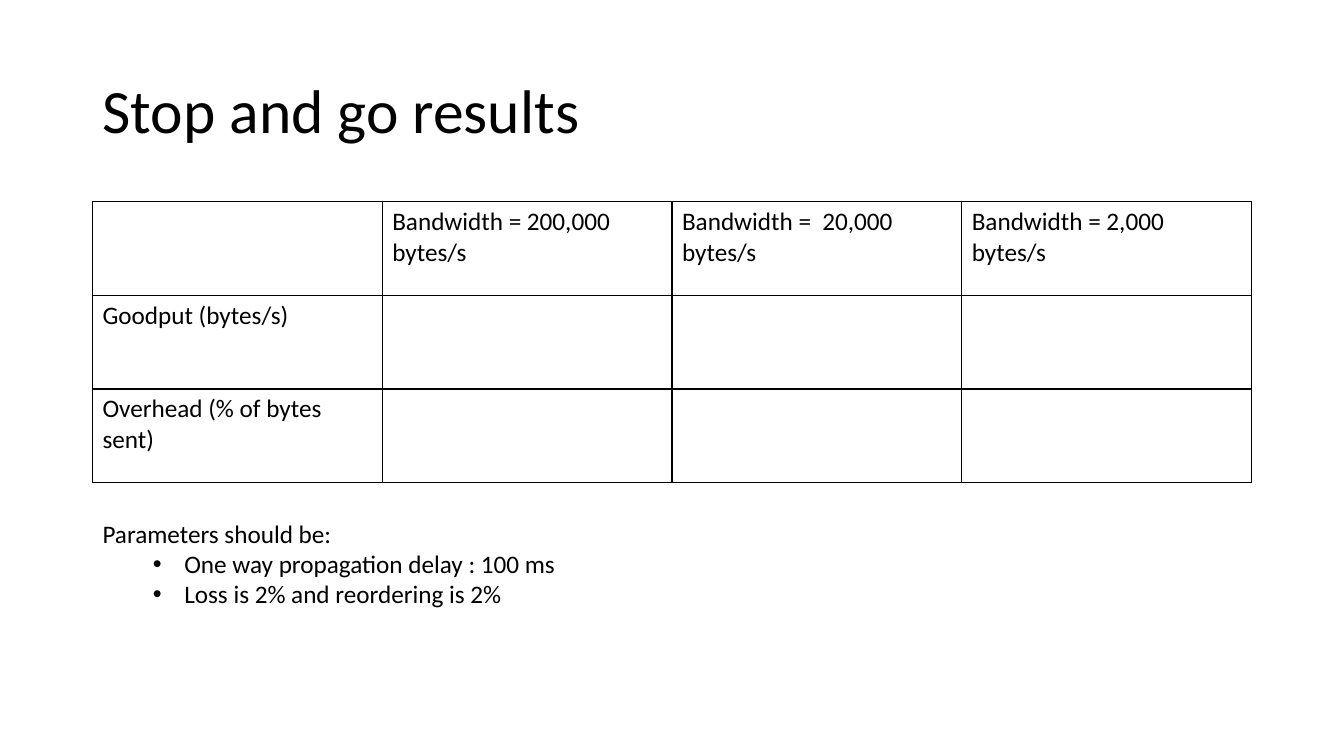
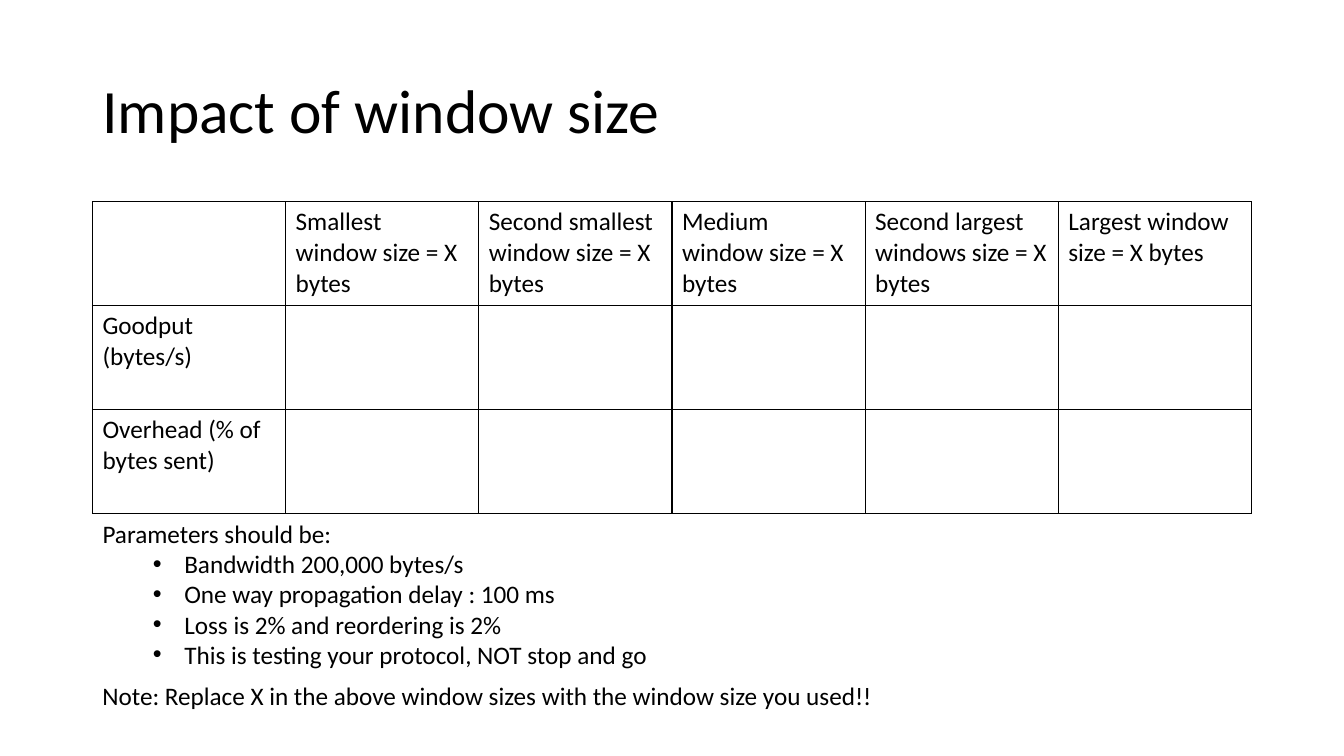
from lxml.etree import SubElement
from pptx import Presentation
from pptx.dml.color import RGBColor
from pptx.enum.text import MSO_ANCHOR as Anchor, MSO_AUTO_SIZE as AutoSize, PP_ALIGN as Align
from pptx.oxml.ns import qn
from pptx.util import Cm, Pt

BLACK = RGBColor(0x00, 0x00, 0x00)
LEFT, CONTENT_WIDTH = Cm(2.33), Cm(29.21)
TABLE_TOP, PARAMETERS_TOP = Cm(5.08), Cm(12.93)
TITLE_FONT = {"name": "Calibri", "size": Pt(44), "bold": False}
TEXT_FONT = {"name": "Calibri", "size": Pt(18), "bold": False}
TITLE_PARAGRAPH = {"alignment": Align.LEFT, "line_spacing": 0.9}
TEXT_PARAGRAPH = {"alignment": Align.LEFT, "line_spacing": 1.0, "space_before": Pt(0)}
FITTED_FRAME = {"word_wrap": False, "auto_size": AutoSize.SHAPE_TO_FIT_TEXT,
                "vertical_anchor": Anchor.TOP}
TITLE_FRAME = {"word_wrap": True, "auto_size": AutoSize.NONE,
               "vertical_anchor": Anchor.MIDDLE}
MEASURES = ["Goodput (bytes/s)", "Overhead (% of bytes sent)"]
DELAY_AND_LOSS = ["One way propagation delay : 100 ms", "Loss is 2% and reordering is 2%"]


def apply(target, values):
    for attribute, value in values.items():
        setattr(target, attribute, value)


class Deck:
    def __init__(self):
        self.presentation = Presentation()
        apply(self.presentation, {"slide_width": Cm(33.87), "slide_height": Cm(19.05)})

    def fill_in(self, paragraph, text, font=TEXT_FONT, layout=TEXT_PARAGRAPH):
        paragraph.text = text
        apply(paragraph, layout)
        for run in paragraph.runs:
            apply(run.font, font)
            run.font.color.rgb = BLACK

    def place(self, shape, top, width, height):
        apply(shape, {"left": LEFT, "top": top, "width": width, "height": height})

    def add_slide(self, title):
        layout = self.presentation.slide_layouts[1]
        self.slide = self.presentation.slides.add_slide(layout)
        heading = self.slide.shapes.title
        self.place(heading, Cm(1.02), CONTENT_WIDTH, Cm(3.68))
        apply(heading.text_frame, TITLE_FRAME)
        self.fill_in(heading.text_frame.paragraphs[0], title, TITLE_FONT, TITLE_PARAGRAPH)

    def add_results(self, conditions, row_height):
        rows = [["", *conditions]]
        rows += [[measure] + [""] * len(conditions) for measure in MEASURES]
        columns = len(rows[0])
        results = self.slide.shapes.add_table(
            len(rows), columns, LEFT, TABLE_TOP, CONTENT_WIDTH, row_height * len(rows)).table
        apply(results, {"first_row": False, "horz_banding": False})
        for column in results.columns:
            column.width = CONTENT_WIDTH // columns
        for row, labels in zip(results.rows, rows):
            row.height = row_height
            for cell, label in zip(row.cells, labels):
                self.fill_in(cell.text_frame.paragraphs[0], label)
                self.outline(cell)
                cell.fill.background()

    def outline(self, cell):
        properties = cell._tc.get_or_add_tcPr()
        for side in ("lnL", "lnR", "lnT", "lnB"):
            border = SubElement(properties, qn(f"a:{side}"), w=str(Pt(1)))
            fill = SubElement(border, qn("a:solidFill"))
            SubElement(fill, qn("a:srgbClr"), val=str(BLACK))

    def add_parameters(self, items, width, height):
        parameters = self.slide.placeholders[1]
        self.place(parameters, PARAMETERS_TOP, width, height)
        frame = parameters.text_frame
        apply(frame, FITTED_FRAME)
        intro = frame.paragraphs[0]
        self.fill_in(intro, "Parameters should be:")
        self.indent(intro, Cm(0), Cm(0))
        for item in items:
            paragraph = frame.add_paragraph()
            self.fill_in(paragraph, item)
            paragraph.level = 1
            self.indent(paragraph, Cm(2.06), Cm(-0.79), "•")

    def indent(self, paragraph, margin, hanging, bullet=None):
        properties = paragraph._p.get_or_add_pPr()
        properties.set("marL", str(margin))
        properties.set("indent", str(hanging))
        if bullet:
            SubElement(properties, qn("a:buFont"), typeface="Arial")
            SubElement(properties, qn("a:buChar"), char=bullet)
        else:
            SubElement(properties, qn("a:buNone"))

    def add_note(self, text):
        note = self.slide.shapes.add_textbox(LEFT, Cm(17.02), Cm(20.17), Cm(1.02))
        apply(note.text_frame, FITTED_FRAME)
        self.fill_in(note.text_frame.paragraphs[0], text)


def main():
    deck = Deck()

    deck.add_slide("Stop and go results")
    deck.add_results(["Bandwidth = 200,000 bytes/s", "Bandwidth =  20,000 bytes/s",
                      "Bandwidth = 2,000 bytes/s"], Cm(2.36))
    deck.add_parameters(DELAY_AND_LOSS, Cm(12.07), Cm(3.33))

    deck.add_slide("Impact of window size")
    deck.add_results(["Smallest window size = X bytes", "Second smallest window size = X bytes",
                      "Medium window size = X bytes", "Second largest windows size = X bytes",
                      "Largest window size = X bytes"], Cm(2.62))
    deck.add_parameters(["Bandwidth 200,000 bytes/s", *DELAY_AND_LOSS,
                         "This is testing your protocol, NOT stop and go"], Cm(14.4), Cm(4.88))
    deck.add_note("Note: Replace X in the above window sizes with the window size you used!!")

    deck.presentation.save("out.pptx")


if __name__ == "__main__":
    main()
